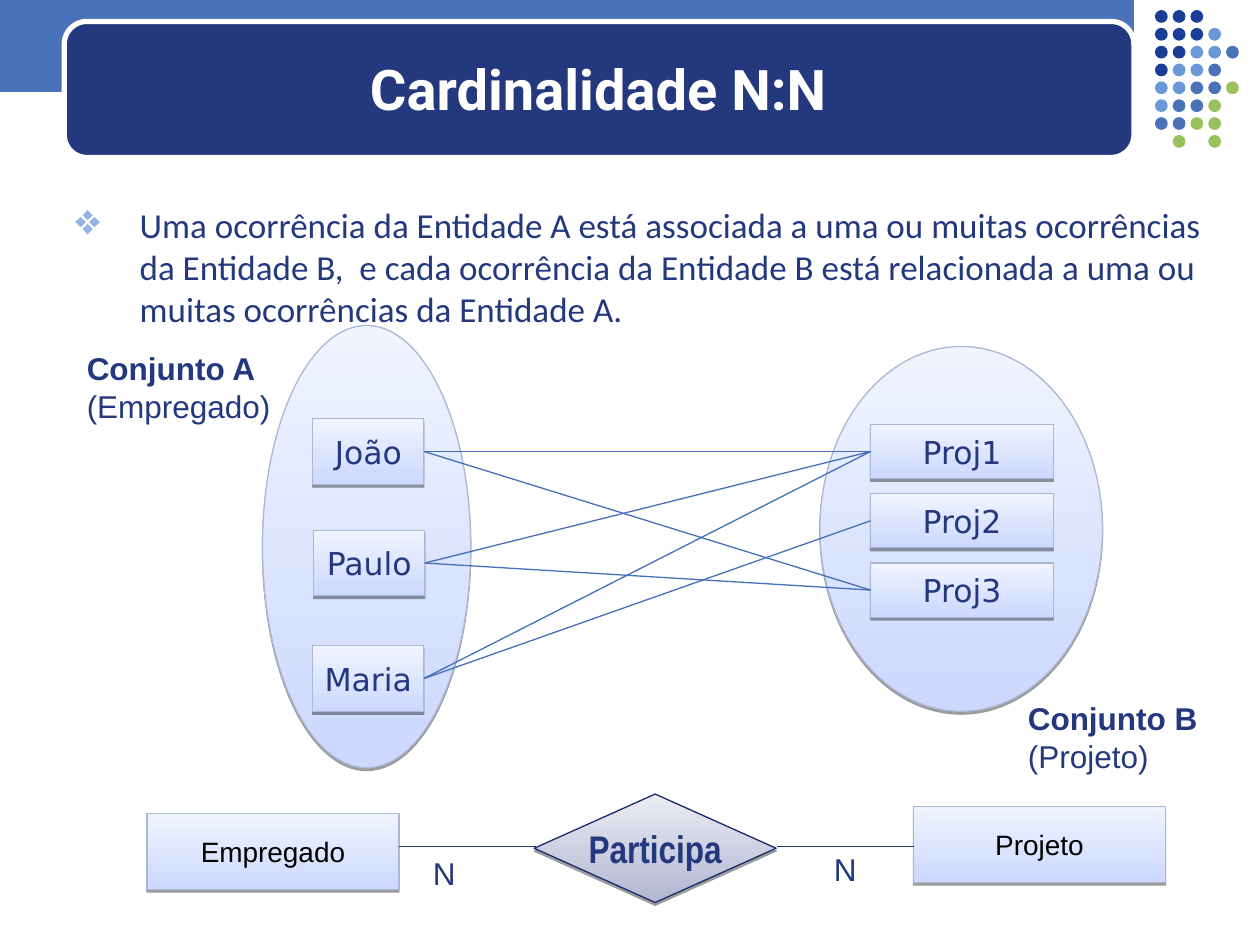
from dataclasses import dataclass

from lxml.etree import SubElement
from pptx import Presentation
from pptx.dml.color import RGBColor
from pptx.enum.shapes import MSO_CONNECTOR, MSO_SHAPE
from pptx.enum.text import MSO_ANCHOR, MSO_AUTO_SIZE, PP_ALIGN
from pptx.oxml.ns import qn
from pptx.shapes.autoshape import Shape
from pptx.shapes.connector import Connector
from pptx.slide import Slide
from pptx.util import Pt


@dataclass(frozen=True)
class Theme:
    navy: str = "23387D"
    band: str = "4972BB"
    white: str = "FFFFFF"
    black: str = "000000"
    bullet: str = "96B1E6"
    link: str = "446FBA"
    pale_edge: str = "ACB7D6"
    dark_edge: str = "192C69"
    pale_blue: tuple[str, str] = ("CCD8FE", "F0F4FF")
    pale_gray: tuple[str, str] = ("B2B6D2", "EBECF3")
    title_size: float = 32
    relation_size: float = 22
    body_size: float = 20
    label_size: float = 18
    entity_size: float = 16
    thin: float = 0.75


THEME = Theme()
DOT_COLORS = {"N": "1A3D97", "S": "6A99D8", "B": THEME.band, "G": "99C25C"}
DOT_ROWS = ("NNN", "NNNS", "NNSSB", "NSSB", "SSBBG", "SBBG", "BBGG", ".G.G")


@dataclass(frozen=True)
class Frame:
    left: float
    top: float
    width: float
    height: float

    def lengths(self) -> tuple[Pt, Pt, Pt, Pt]:
        return Pt(self.left), Pt(self.top), Pt(self.width), Pt(self.height)


@dataclass(frozen=True)
class Member:
    name: str
    frame: Frame


@dataclass(frozen=True)
class Label:
    lines: tuple[str, ...]
    frame: Frame
    bold_lines: int = 0


PEOPLE = (
    Member("João", Frame(178.75, 239.25, 63.5, 37.5)),
    Member("Paulo", Frame(179.25, 303, 63.5, 37.5)),
    Member("Maria", Frame(178.75, 369, 63.5, 37.5)),
)
PROJECTS = tuple(
    Member(f"Proj{number}", Frame(497.5, 242.5 + 39.6 * (number - 1), 104.4, 31))
    for number in (1, 2, 3)
)
ASSIGNMENTS = (
    ("João", "Proj1"), ("João", "Proj3"), ("Paulo", "Proj1"),
    ("Maria", "Proj1"), ("Maria", "Proj2"), ("Paulo", "Proj3"),
)
SET_OVALS = (Frame(150, 186, 119, 252.75), Frame(468.5, 198, 161.5, 208.5))
ENTITIES = (
    Member("Empregado", Frame(84, 465, 144, 43.2)),
    Member("Projeto", Frame(522, 461, 144, 43.2)),
)
LABELS = (
    Label(("N",), Frame(469.5, 482.25, 27.5, 29)),
    Label(("N",), Frame(240.25, 484.25, 27.5, 29)),
    Label(("Conjunto A", "(Empregado)"), Frame(42.5, 195.75, 120, 50.5), 1),
    Label(("Conjunto B", "(Projeto)"), Frame(580.25, 396, 115, 50.5), 1),
)


def write_text(shape: Shape, lines: tuple[str, ...], *, size: float, font: str,
               color: str = THEME.navy, bold_lines: int = 0, wrap: bool = False,
               align: PP_ALIGN = PP_ALIGN.LEFT,
               anchor: MSO_ANCHOR = MSO_ANCHOR.TOP) -> None:
    """Write one paragraph per line; the first bold_lines of them are bold."""
    frame = shape.text_frame
    frame.word_wrap = wrap
    frame.vertical_anchor = anchor
    for index, line in enumerate(lines):
        para = frame.add_paragraph() if index else frame.paragraphs[0]
        para.alignment = align
        span = para.add_run()
        span.text = line
        span.font.name = font
        span.font.size = Pt(size)
        span.font.bold = index < bold_lines
        span.font.color.rgb = RGBColor.from_string(color)


def add_flat(slide: Slide, kind: MSO_SHAPE, frame: Frame, color: str) -> Shape:
    shape = slide.shapes.add_shape(kind, *frame.lengths())
    shape.shadow.inherit = False
    shape.fill.solid()
    shape.fill.fore_color.rgb = RGBColor.from_string(color)
    shape.line.fill.background()
    return shape


def add_raised(slide: Slide, kind: MSO_SHAPE, frame: Frame,
               colors: tuple[str, str] = THEME.pale_blue,
               edge: str = THEME.pale_edge) -> Shape:
    """Add a shape with an upward gradient and a hard shadow below it."""
    shape = slide.shapes.add_shape(kind, *frame.lengths())
    shape.fill.gradient()
    shape.fill.gradient_angle = 90
    for stop, color in zip(shape.fill.gradient_stops, colors):
        stop.color.rgb = RGBColor.from_string(color)
    shape.line.color.rgb = RGBColor.from_string(edge)
    shape.line.width = Pt(THEME.thin)
    shape.shadow.inherit = False
    effects = shape._element.spPr.find(qn("a:effectLst"))
    shadow = SubElement(effects, qn("a:outerShdw"), blurRad="0",
                        dist=str(Pt(1.6)), dir="5400000", rotWithShape="0")
    shade = SubElement(shadow, qn("a:srgbClr"), val=THEME.black)
    SubElement(shade, qn("a:alpha"), val="38000")
    return shape


def add_line(slide: Slide, start: tuple[float, float], end: tuple[float, float],
             color: str) -> Connector:
    line = slide.shapes.add_connector(
        MSO_CONNECTOR.STRAIGHT, *(Pt(length) for length in (*start, *end)))
    line.line.color.rgb = RGBColor.from_string(color)
    line.line.width = Pt(THEME.thin)
    SubElement(line._element.spPr, qn("a:effectLst"))
    return line


def add_box(slide: Slide, member: Member, *, size: float, font: str,
            color: str = THEME.navy) -> Shape:
    box = add_raised(slide, MSO_SHAPE.RECTANGLE, member.frame)
    write_text(box, (member.name,), size=size, font=font, color=color,
               align=PP_ALIGN.CENTER, anchor=MSO_ANCHOR.MIDDLE)
    return box


def draw_header(slide: Slide) -> None:
    add_flat(slide, MSO_SHAPE.RECTANGLE, Frame(0, -2.2, 648, 54.7), THEME.band)
    panel = add_flat(slide, MSO_SHAPE.ROUNDED_RECTANGLE,
                     Frame(36.75, 12.25, 611.25, 77.75), THEME.navy)
    panel.line.color.rgb = RGBColor.from_string(THEME.white)
    panel.line.width = Pt(3)
    for row, codes in enumerate(DOT_ROWS):
        for column, code in enumerate(codes):
            if code in DOT_COLORS:
                dot = Frame(660 + 10.15 * column, 5.75 + 10.2 * row, 7.3, 7.3)
                add_flat(slide, MSO_SHAPE.OVAL, dot, DOT_COLORS[code])
    title = slide.shapes.add_textbox(*Frame(43, 16.5, 598, 67.7).lengths())
    write_text(title, ("Cardinalidade N:N",), size=THEME.title_size, font="Roboto",
               color=THEME.white, bold_lines=1, wrap=True,
               align=PP_ALIGN.CENTER, anchor=MSO_ANCHOR.MIDDLE)


def draw_definition(slide: Slide) -> None:
    body = slide.shapes.add_textbox(*Frame(36, 112.7, 660.25, 385.2).lengths())
    write_text(body, (
        "Uma ocorrência da Entidade A está associada a uma ou muitas ocorrências "
        "da Entidade B,  e cada ocorrência da Entidade B está relacionada a uma ou "
        "muitas ocorrências da Entidade A.",
    ), size=THEME.body_size, font="Calibri", wrap=True)
    para = body.text_frame.paragraphs[0]
    para.space_before, para.space_after = Pt(5), Pt(6)
    properties = para._p.get_or_add_pPr()
    properties.set("marL", str(Pt(36.75)))
    properties.set("indent", str(-Pt(36.75)))
    bullet_color = SubElement(properties, qn("a:buClr"))
    SubElement(bullet_color, qn("a:srgbClr"), val=THEME.bullet)
    SubElement(properties, qn("a:buSzPct"), val="125000")
    SubElement(properties, qn("a:buChar"), char="❖")


def draw_relationship(slide: Slide) -> None:
    for entity in ENTITIES:
        add_box(slide, entity, size=THEME.entity_size, font="Arial", color=THEME.black)
    diamond = add_raised(slide, MSO_SHAPE.FLOWCHART_DECISION,
                         Frame(305.25, 453.75, 138.25, 62), THEME.pale_gray,
                         THEME.dark_edge)
    write_text(diamond, ("Participa",), size=THEME.relation_size, font="Arial Narrow",
               bold_lines=1, align=PP_ALIGN.CENTER, anchor=MSO_ANCHOR.MIDDLE)
    for start, end in ((522, 444), (228, 306)):
        add_line(slide, (start, 483.8), (end, 483.8), THEME.navy)


def draw_sets(slide: Slide) -> None:
    boxes = {}
    for oval, members in zip(SET_OVALS, (PEOPLE, PROJECTS)):
        add_raised(slide, MSO_SHAPE.OVAL, oval)
        for member in members:
            boxes[member.name] = add_box(slide, member, size=THEME.label_size,
                                         font="DejaVu Sans")
    for person, project in ASSIGNMENTS:
        link = add_line(slide, (0, 0), (0, 0), THEME.link)
        link.begin_connect(boxes[person], 3)
        link.end_connect(boxes[project], 1)


def draw_labels(slide: Slide) -> None:
    for label in LABELS:
        box = slide.shapes.add_textbox(*label.frame.lengths())
        write_text(box, label.lines, size=THEME.label_size, font="Arial",
                   bold_lines=label.bold_lines)
        box.text_frame.auto_size = MSO_AUTO_SIZE.SHAPE_TO_FIT_TEXT


def main() -> None:
    deck = Presentation()
    deck.slide_width, deck.slide_height = Pt(720), Pt(540)
    slide = deck.slides.add_slide(deck.slide_layouts[6])
    for draw in (draw_header, draw_definition, draw_relationship, draw_sets, draw_labels):
        draw(slide)
    deck.save("out.pptx")


if __name__ == "__main__":
    main()
